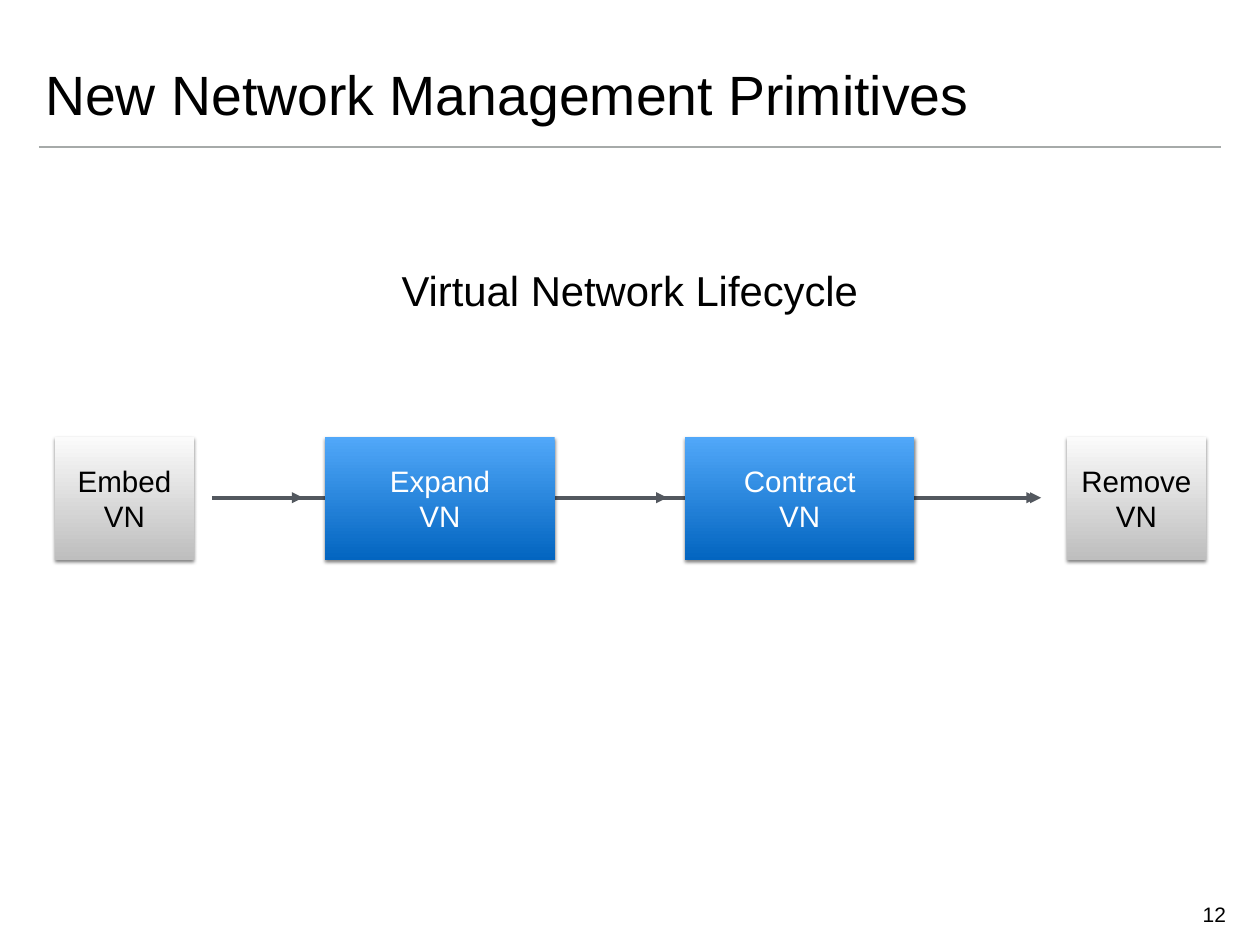
import pptx
import pptx.util
import pptx.dml.color
import pptx.enum.shapes
import pptx.enum.text
import pptx.oxml
import pptx.oxml.ns

PX = 9144  # EMU per px, 100 px to the inch
THEME = {
    "font": "Arial",
    "black": "000000", "white": "FFFFFF", "rule": "A6AAA9", "arrow": "53585F",
    "grey": ("FBFBFB", "BEBEBE"), "blue": ("51A8F9", "0365C0"),
    "title": 45, "caption": 34, "node": 24, "number": 17,
}
SHADOW = (
    '<a:outerShdw %s blurRad="38100" dist="25400" dir="5400000" rotWithShape="0">'
    '<a:srgbClr val="000000"><a:alpha val="50000"/></a:srgbClr></a:outerShdw>'
    % pptx.oxml.ns.nsdecls("a"))
Color = pptx.dml.color.RGBColor.from_string
Align = pptx.enum.text.PP_ALIGN
Anchor = pptx.enum.text.MSO_ANCHOR


def write(shape, lines, size, color="black", align=Align.CENTER,
          anchor=Anchor.MIDDLE, wrap=True):
    frame = shape.text_frame
    frame.word_wrap = wrap
    frame.vertical_anchor = anchor
    frame.margin_left = frame.margin_right = 6 * PX
    frame.margin_top = frame.margin_bottom = 6 * PX
    fit = pptx.enum.text.MSO_AUTO_SIZE
    frame.auto_size = fit.NONE if wrap else fit.SHAPE_TO_FIT_TEXT
    for i, line in enumerate(lines):
        para = frame.add_paragraph() if i else frame.paragraphs[0]
        para.alignment = align
        run = para.add_run()
        run.text = line
        run.font.name = THEME["font"]
        run.font.size = pptx.util.Pt(THEME[size])
        run.font.color.rgb = Color(THEME[color])


def draw_line(left, right, y, color, width, head=True):
    line = slide.shapes.add_connector(
        pptx.enum.shapes.MSO_CONNECTOR.STRAIGHT,
        left * PX, y * PX, right * PX, y * PX)
    line.line.color.rgb = Color(THEME[color])
    line.line.width = pptx.util.Pt(width)
    props = line._element.spPr
    if head:
        tail = pptx.oxml.parse_xml(
            '<a:tailEnd %s type="triangle"/>' % pptx.oxml.ns.nsdecls("a"))
        props.find(pptx.oxml.ns.qn("a:ln")).append(tail)
    props.append(pptx.oxml.parse_xml(
        "<a:effectLst %s/>" % pptx.oxml.ns.nsdecls("a")))


deck = pptx.Presentation()
deck.slide_width = 1422 * PX
deck.slide_height = 1067 * PX
slide = deck.slides.add_slide(deck.slide_layouts[5])

# Title and rule
draw_line(44, 1378, 166, "rule", 1, head=False)
title = slide.shapes.title
title.left, title.top = 45 * PX, 49 * PX
title.width, title.height = 1333 * PX, 113 * PX
write(title, ["New Network Management Primitives"], "title", align=Align.LEFT)

# Slide number
number = slide.shapes.add_textbox(1351 * PX, 1012 * PX, 39 * PX, 39 * PX)
write(number, ["12"], "number", anchor=Anchor.TOP, wrap=False)

# Long arrow behind the stages
TOP, HIGH, MID = 493, 139, 562
draw_line(251, 1171, MID, "arrow", 3)

# Stages of the lifecycle
stages = [
    (62, 157, ["Embed VN"], "grey", "black"),
    (367, 259, ["Expand", "VN"], "blue", "white"),
    (773, 259, ["Contract", "VN"], "blue", "white"),
    (1204, 157, ["Remove VN"], "grey", "black"),
]
for left, wide, lines, shade, ink in stages:
    box = slide.shapes.add_shape(
        pptx.enum.shapes.MSO_SHAPE.RECTANGLE,
        left * PX, TOP * PX, wide * PX, HIGH * PX)
    box.fill.gradient()
    box.fill.gradient_angle = 270
    for stop, tone in zip(box.fill.gradient_stops, THEME[shade]):
        stop.color.rgb = Color(tone)
    box.line.fill.background()
    box.shadow.inherit = False
    effects = box._element.spPr.find(pptx.oxml.ns.qn("a:effectLst"))
    effects.append(pptx.oxml.parse_xml(SHADOW))
    write(box, lines, "node", ink)

# Short arrows between the stages
for left, right in [(239, 342), (650, 753), (1062, 1175)]:
    draw_line(left, right, MID, "arrow", 3)

# Caption
caption = slide.shapes.add_textbox(445 * PX, 293 * PX, 532 * PX, 68 * PX)
write(caption, ["Virtual Network Lifecycle"], "caption", wrap=False)

deck.save("out.pptx")
